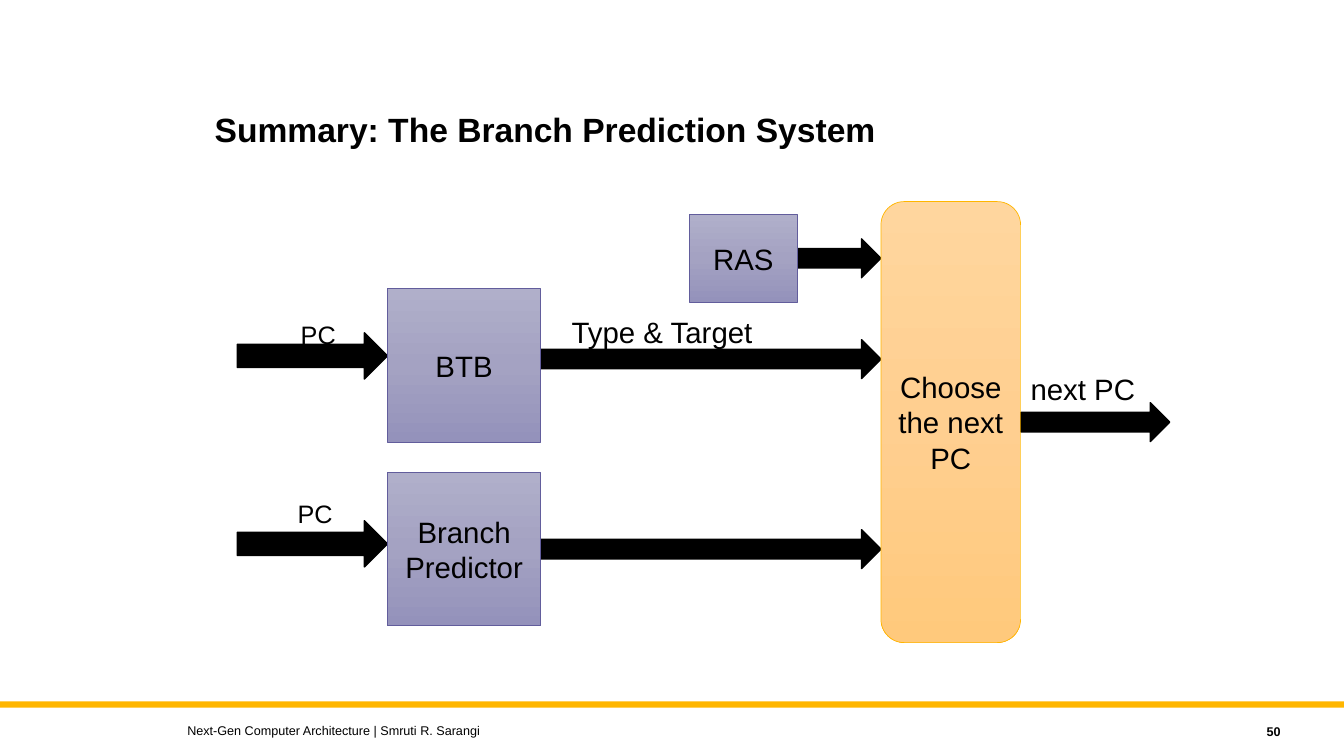
import pptx
import pptx.util
import pptx.dml.color
import pptx.enum.shapes
import pptx.enum.text
import pptx.oxml.ns
from lxml import etree

PX = 9525  # EMU per px, 96 px to the inch
SHAPE = pptx.enum.shapes.MSO_SHAPE
ALIGN = pptx.enum.text.PP_ALIGN
ANCHOR = pptx.enum.text.MSO_ANCHOR

PURPLE = (("B0AFCA", "A4A2C2", "9492BB"), "625D9C")
ORANGE = (("FFD69E", "FFCF90", "FFC97C"), "FFB600")

# Columns of the diagram
START, UNIT_L, UNIT_SIZE = 226, 369, 146
UNIT_R = UNIT_L + UNIT_SIZE
RAS_L, RAS_W = 657, 102
CHOOSE_L, CHOOSE_W = 839, 133
CHOOSE_R, END = CHOOSE_L + CHOOSE_W, 1114

# text, preset, (left, top, width, height), colours
BLOCKS = [
    ("BTB", SHAPE.RECTANGLE, (UNIT_L, 275, UNIT_SIZE, UNIT_SIZE), PURPLE),
    ("Branch\nPredictor", SHAPE.RECTANGLE, (UNIT_L, 450, UNIT_SIZE, UNIT_SIZE), PURPLE),
    ("RAS", SHAPE.RECTANGLE, (RAS_L, 204, RAS_W, 84), PURPLE),
    ("Choose\nthe next PC", SHAPE.ROUNDED_RECTANGLE, (CHOOSE_L, 192, CHOOSE_W, 420), ORANGE),
]
# from x, to x, middle y, thickness
ARROWS = [
    (START, UNIT_L, 339, 44),
    (START, UNIT_L, 518, 44),
    (UNIT_R, CHOOSE_L, 342, 37),
    (UNIT_R, CHOOSE_L, 523, 37),
    (RAS_L + RAS_W, CHOOSE_L, 246, 37),
    (CHOOSE_R, END, 402, 37),
]
# text, (left, top, width, height), size
LABELS = [
    ("PC", (277, 299, 53, 38), 18),
    ("PC", (274, 470, 53, 38), 18),
    ("Type & Target", (535, 294, 193, 43), 21),
    ("next PC", (CHOOSE_R, 349, 120, 43), 21),
]
TITLE = "Summary: The Branch Prediction System"
FOOTER = "Next-Gen Computer Architecture | Smruti R. Sarangi"
PAGE = "50"


def color(value):
    return pptx.dml.color.RGBColor.from_string(value)


def emu(box):
    return [round(v * PX) for v in box]


def write(sp, text, size, bold=False, align=ALIGN.LEFT, anchor=ANCHOR.TOP, wrap=True):
    tf = sp.text_frame
    tf.text = text
    tf.word_wrap = wrap
    tf.vertical_anchor = anchor
    for p in tf.paragraphs:
        p.alignment = align
        for r in p.runs:
            r.font.name = "Arial"
            r.font.size = pptx.util.Pt(size)
            r.font.bold = bold
            r.font.color.rgb = color("000000")


def add_text(s, box, text, size, **style):
    sp = s.shapes.add_textbox(*emu(box))
    write(sp, text, size, **style)
    return sp


def add_shape(s, preset, box, fill=None, line=None, width=1):
    sp = s.shapes.add_shape(preset, *emu(box))
    sp.shadow.inherit = False
    if fill:
        sp.fill.solid()
        sp.fill.fore_color.rgb = color(fill)
    if line:
        sp.line.color.rgb = color(line)
        sp.line.width = pptx.util.Pt(width)
    else:
        sp.line.fill.background()
    return sp


def shade(sp, stops):
    """Evenly spaced gradient stops, running from top to bottom."""
    qn = pptx.oxml.ns.qn
    sp.fill.gradient()
    sp.fill.gradient_angle = 270
    stop_list = sp._element.spPr.find(qn("a:gradFill")).find(qn("a:gsLst"))
    for old in list(stop_list):
        stop_list.remove(old)
    for i, value in enumerate(stops):
        pos = str(100000 * i // (len(stops) - 1))
        stop = etree.SubElement(stop_list, qn("a:gs"), pos=pos)
        etree.SubElement(stop, qn("a:srgbClr"), val=value)


def main():
    prs = pptx.Presentation()
    prs.slide_width, prs.slide_height = emu((1280, 720))
    s = prs.slides.add_slide(prs.slide_layouts[6])

    # Footer bar and title
    add_shape(s, SHAPE.RECTANGLE, (0, 668, 1280, 6), "FFB600")
    title = add_text(s, (195, 103, 828, 105), TITLE, 24, bold=True)
    title.text_frame.paragraphs[0].line_spacing = 0.9

    # Diagram
    for x1, x2, mid, thick in ARROWS:
        box = (x1, mid - thick / 2, x2 - x1, thick)
        add_shape(s, SHAPE.RIGHT_ARROW, box, "000000", "000000")
    for text, preset, box, (stops, line) in BLOCKS:
        sp = add_shape(s, preset, box, line=line, width=0.5)
        shade(sp, stops)
        write(sp, text, 21, align=ALIGN.CENTER, anchor=ANCHOR.MIDDLE)
    for text, box, size in LABELS:
        add_text(s, box, text, size, wrap=False)

    # Footer text and page number
    add_text(s, (169, 684, 768, 24), FOOTER, 9, anchor=ANCHOR.MIDDLE)
    add_text(s, (1095, 685, 134, 24), PAGE, 9, bold=True,
             align=ALIGN.RIGHT, anchor=ANCHOR.MIDDLE)

    prs.save("out.pptx")


if __name__ == "__main__":
    main()
